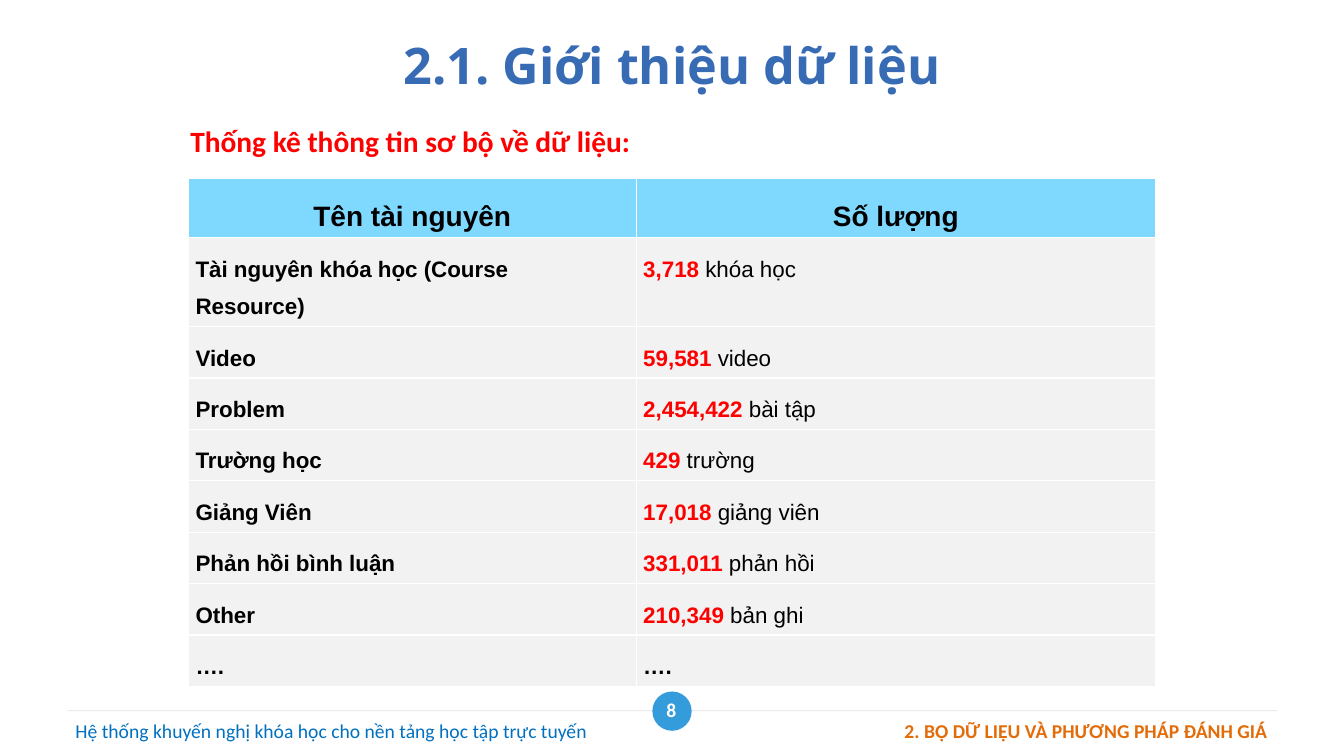
from lxml.etree import SubElement
from pptx import Presentation
from pptx.dml.color import RGBColor
from pptx.enum.shapes import MSO_CONNECTOR, MSO_SHAPE
from pptx.enum.text import MSO_ANCHOR, PP_ALIGN
from pptx.oxml.ns import qn
from pptx.util import Inches, Pt

COLORS = {
    "title": "376BB4", "red": "FF0000", "black": "000000", "white": "FFFFFF",
    "header": "7FD9FF", "row": "F2F2F2", "badge": "359CDB", "rule": "D8D8D8",
    "course": "0070C0", "chapter": "E36C09",
}


def style(font, name, size, color, bold=False):
    font.name, font.size, font.bold = name, Pt(size), bold
    font.color.rgb = RGBColor.from_string(COLORS[color])


def add_label(bounds, text, size, color, bold, align):
    box = page.shapes.add_textbox(*map(Inches, bounds))
    box.text_frame.word_wrap = True
    para = box.text_frame.paragraphs[0]
    para.text, para.alignment = text, align
    style(para.font, "Calibri", size, color, bold)
    return box


deck = Presentation()
deck.slide_width, deck.slide_height = Inches(13.33), Inches(7.5)
page = deck.slides.add_slide(deck.slide_layouts[5])

# Footer rule and page badge
rule = page.shapes.add_connector(
    MSO_CONNECTOR.STRAIGHT, Inches(0.67), Inches(7.05), Inches(12.67), Inches(7.05))
rule.line.width = Pt(0.75)
rule.line.color.rgb = RGBColor.from_string(COLORS["rule"])
rule_color = rule.line._ln.find(qn("a:solidFill"))[0]
SubElement(rule_color, qn("a:alpha"), val="50000")
SubElement(rule._element.spPr, qn("a:effectLst"))

badge = page.shapes.add_shape(
    MSO_SHAPE.OVAL, Inches(6.47), Inches(6.86), Inches(0.39), Inches(0.39))
badge.shadow.inherit = False
badge.fill.solid()
badge.fill.fore_color.rgb = RGBColor.from_string(COLORS["badge"])
badge.line.fill.background()
number = add_label((6.38, 6.83, 0.56, 0.42), "8", 14, "white", True, PP_ALIGN.CENTER)
number.text_frame.vertical_anchor = MSO_ANCHOR.MIDDLE

# Title
title = page.shapes.title
title.left, title.top = Inches(1.29), Inches(0.31)
title.width, title.height = Inches(10.75), Inches(1.06)
title.text_frame.text = "2.1. Giới thiệu dữ liệu"
title.text_frame.vertical_anchor = MSO_ANCHOR.TOP
title.text_frame.margin_top = Inches(0.03)
heading = title.text_frame.paragraphs[0]
heading.alignment = PP_ALIGN.CENTER
style(heading.font, "Open Sans", 36, "title", True)

# Table: each cell holds a bold lead and a plain remainder
rows = [
    ("Tên tài nguyên", "Số lượng", ""),
    ("Tài nguyên khóa học (Course Resource)", "3,718", " khóa học"),
    ("Video", "59,581", " video"),
    ("Problem", "2,454,422", " bài tập"),
    ("Trường học", "429", " trường"),
    ("Giảng Viên", "17,018", " giảng viên"),
    ("Phản hồi bình luận", "331,011", " phản hồi"),
    ("Other", "210,349", " bản ghi"),
    ("….", "….", ""),
]
heights = [0.59, 0.88] + [0.51] * 7
table = page.shapes.add_table(
    len(rows), 2, Inches(1.87), Inches(1.77), Inches(9.59), Inches(sum(heights))).table
for column, width in zip(table.columns, (4.44, 5.15)):
    column.width = Inches(width)

for r, (name, amount, unit) in enumerate(rows):
    table.rows[r].height = Inches(heights[r])
    for c, (lead, rest) in enumerate([(name, ""), (amount, unit)]):
        cell = table.cell(r, c)
        cell.fill.solid()
        cell.fill.fore_color.rgb = RGBColor.from_string(COLORS["row" if r else "header"])
        cell.margin_left = cell.margin_right = cell.margin_top = Inches(0.07)
        cell.margin_bottom = 0  # lets the row heights hold at 1.5 line spacing
        if r and c == 0:
            cell.margin_right = Inches(0.2)  # keeps the long name on two lines
        para = cell.text_frame.paragraphs[0]
        para.line_spacing = 1.5
        para.alignment = PP_ALIGN.LEFT if r else PP_ALIGN.CENTER
        size = 16 if r else 20
        span = para.add_run()
        span.text = lead
        style(span.font, "Arial", size, "red" if rest else "black", True)
        if rest:
            span = para.add_run()
            span.text = rest
            style(span.font, "Arial", size, "black")

# Subtitle and footer
add_label((1.79, 1.17, 5.93, 0.45), "Thống kê thông tin sơ bộ về dữ liệu:",
          21, "red", True, PP_ALIGN.LEFT)
add_label((0.65, 7.08, 5.93, 0.34),
          "Hệ thống khuyến nghị khóa học cho nền tảng học tập trực tuyến",
          14, "course", False, PP_ALIGN.LEFT)
add_label((6.95, 7.08, 5.72, 0.34), "2. BỘ DỮ LIỆU VÀ PHƯƠNG PHÁP ĐÁNH GIÁ",
          14, "chapter", True, PP_ALIGN.RIGHT)

deck.save("out.pptx")
